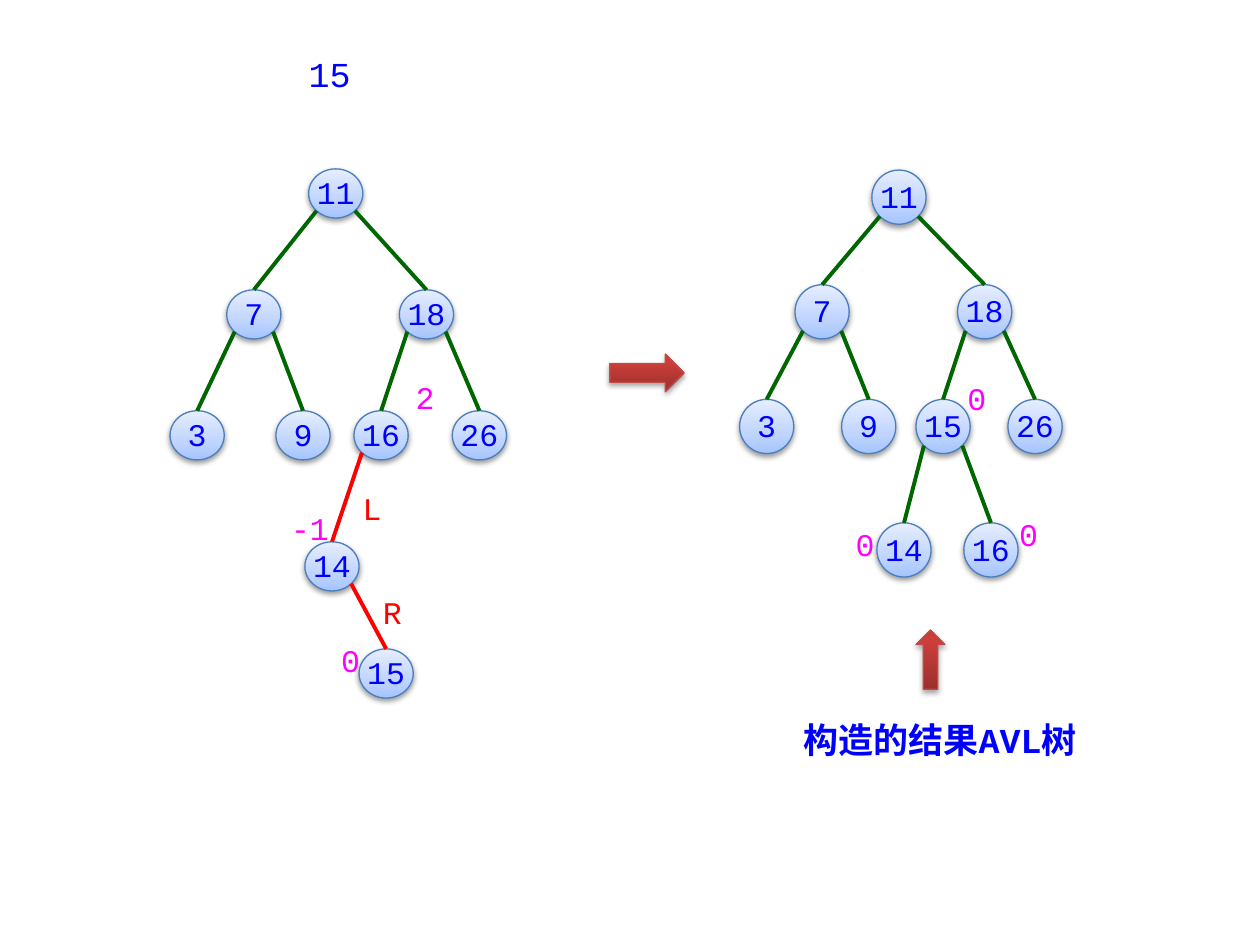
import math
from dataclasses import dataclass

from lxml import etree
from pptx import Presentation
from pptx import util as u
from pptx.dml import color
from pptx.enum import shapes as kinds, text
from pptx.oxml import ns

FONT = "Courier New"
BLUE, PINK, RED, GREEN = "0000FF", "FF00FF", "FF0000", "006600"
NODE_WIDTH = 0.43
NODE_STOPS = ((0, "A4C4FF"), (35, "BFD4FF"), (100, "E6EEFF"))
ARROW_STOPS = ((0, "9C2F2D"), (80, "CB3E3A"), (100, "CE3B37"))


@dataclass
class Node:
    key: int
    left: float
    level: int


@dataclass
class Edge:
    parent: int
    child: int
    side: int  # -1 for a left child, 1 for a right child
    hue: str = GREEN


@dataclass
class Tree:
    level_tops: tuple
    node_height: float
    nodes: list
    edges: list


@dataclass
class Label:
    words: str
    left: float
    top: float
    width: float
    hue: str = PINK


# Both trees: before and after the rotation
UNBALANCED = Tree(
    (1.34, 2.3, 3.26, 4.3, 5.15), 0.39,
    [Node(11, 2.45, 0), Node(7, 1.8, 1), Node(18, 3.17, 1), Node(3, 1.35, 2),
     Node(9, 2.19, 2), Node(16, 2.81, 2), Node(26, 3.59, 2),
     Node(14, 2.42, 3), Node(15, 2.85, 4)],
    [Edge(11, 7, -1), Edge(11, 18, 1), Edge(7, 3, -1), Edge(7, 9, 1),
     Edge(18, 16, -1), Edge(18, 26, 1),
     Edge(16, 14, -1, RED), Edge(14, 15, 1, RED)],
)
BALANCED = Tree(
    (1.35, 2.26, 3.17, 4.15), 0.43,
    [Node(11, 6.92, 0), Node(7, 6.31, 1), Node(18, 7.6, 1), Node(3, 5.87, 2),
     Node(9, 6.68, 2), Node(15, 7.27, 2), Node(26, 8, 2),
     Node(14, 6.96, 3), Node(16, 7.65, 3)],
    [Edge(11, 7, -1), Edge(11, 18, 1), Edge(7, 3, -1), Edge(7, 9, 1),
     Edge(18, 15, -1), Edge(18, 26, 1), Edge(15, 14, -1), Edge(15, 16, 1)],
)

# Balance factors and rotation directions
LABELS = [
    Label("-1", 2.19, 4.01, 0.54), Label("2", 3.2, 2.97, 0.27),
    Label("0", 2.61, 5.06, 0.27), Label("L", 2.78, 3.85, 0.27, RED),
    Label("R", 2.94, 4.68, 0.27, RED), Label("0", 6.68, 4.14, 0.37),
    Label("0", 7.58, 2.98, 0.29), Label("0", 7.99, 4.06, 0.29),
]


def rgb(hex_value: str) -> color.RGBColor:
    return color.RGBColor.from_string(hex_value)


def add_child(parent, tag: str, **attributes):
    return etree.SubElement(parent, ns.qn(tag), attributes)


def write(frame, words: str, hue: str, size=18, bold=False, spacing=u.Pt(20)) -> None:
    paragraph = frame.paragraphs[0]
    paragraph.alignment = text.PP_ALIGN.CENTER
    paragraph.line_spacing = spacing
    run = paragraph.add_run()
    run.text = words
    for name, value in dict(name=FONT, size=u.Pt(size), bold=bold).items():
        setattr(run.font, name, value)
    run.font.color.rgb = rgb(hue)


def add_solid(slide, kind, box: tuple, stops: tuple, outline: str,
              shadow_alpha: int, shadow_distance: float):
    """Add a shape with a vertical gradient, a thin outline and a soft shadow."""
    solid = slide.shapes.add_shape(kind, *map(u.Inches, box))
    solid.fill.gradient()
    solid.fill.gradient_angle = 90
    properties = solid.element.spPr
    stop_list = properties.find(".//" + ns.qn("a:gsLst"))
    for old_stop in list(stop_list):
        stop_list.remove(old_stop)
    for position, hue in stops:
        stop = add_child(stop_list, "a:gs", pos=str(position * 1000))
        add_child(stop, "a:srgbClr", val=hue)
    solid.line.color.rgb = rgb(outline)
    solid.line.width = u.Pt(0.75)
    solid.shadow.inherit = False
    shadow = add_child(properties.find(ns.qn("a:effectLst")), "a:outerShdw",
                       blurRad=str(u.Pt(3.1)), dist=str(u.Pt(shadow_distance)),
                       dir="5400000", rotWithShape="0")
    black = add_child(shadow, "a:srgbClr", val="000000")
    add_child(black, "a:alpha", val=str(shadow_alpha * 1000))
    return solid


def add_arrow(slide, kind, box: tuple) -> None:
    add_solid(slide, kind, box, ARROW_STOPS, "BF4C48", 35, 1.8)


def add_label(slide, label: Label, height=0.38, **style) -> None:
    box = slide.shapes.add_textbox(
        *map(u.Inches, (label.left, label.top, label.width, height)))
    box.text_frame.word_wrap = True
    box.text_frame.auto_size = text.MSO_AUTO_SIZE.SHAPE_TO_FIT_TEXT
    write(box.text_frame, label.words, label.hue, **style)


def add_tree(slide, tree: Tree) -> None:
    centers = {}
    for node in tree.nodes:
        top = tree.level_tops[node.level]
        circle = add_solid(slide, kinds.MSO_SHAPE.OVAL,
                           (node.left, top, NODE_WIDTH, tree.node_height),
                           NODE_STOPS, "4B7EBC", 38, 1.6)
        frame = circle.text_frame
        frame.word_wrap = False
        frame.vertical_anchor = text.MSO_ANCHOR.MIDDLE
        write(frame, str(node.key), BLUE)
        centers[node.key] = (node.left + NODE_WIDTH / 2, top + tree.node_height / 2)

    # Edges run from the parent's lower diagonal to the child's top
    diagonal = math.sqrt(0.5) / 2
    for edge in tree.edges:
        x, y = centers[edge.parent]
        child_x, child_y = centers[edge.child]
        ends = (x + edge.side * NODE_WIDTH * diagonal, y + tree.node_height * diagonal,
                child_x, child_y - tree.node_height / 2)
        branch = slide.shapes.add_connector(
            kinds.MSO_CONNECTOR.STRAIGHT, *map(u.Inches, ends))
        branch.line.color.rgb = rgb(edge.hue)
        branch.line.width = u.Pt(2.25)
        add_child(branch.element.spPr, "a:effectLst")


def main() -> None:
    deck = Presentation()
    deck.slide_width, deck.slide_height = u.Inches(10), u.Inches(7.5)
    slide = deck.slides.add_slide(deck.slide_layouts[6])

    # Inserted key
    add_label(slide, Label("15", 2.34, 0.43, 0.55, BLUE), 0.37, size=20, spacing=0.8)

    # Trees and their annotations
    for tree in (UNBALANCED, BALANCED):
        add_tree(slide, tree)
    for label in LABELS:
        add_label(slide, label)

    # Arrows and caption
    add_arrow(slide, kinds.MSO_SHAPE.RIGHT_ARROW, (4.84, 2.81, 0.59, 0.3))
    add_arrow(slide, kinds.MSO_SHAPE.UP_ARROW, (7.27, 5, 0.23, 0.47))
    add_label(slide, Label("构造的结果AVL树", 6.25, 5.71, 2.42, BLUE), size=20, bold=True)

    deck.save("out.pptx")


if __name__ == "__main__":
    main()
